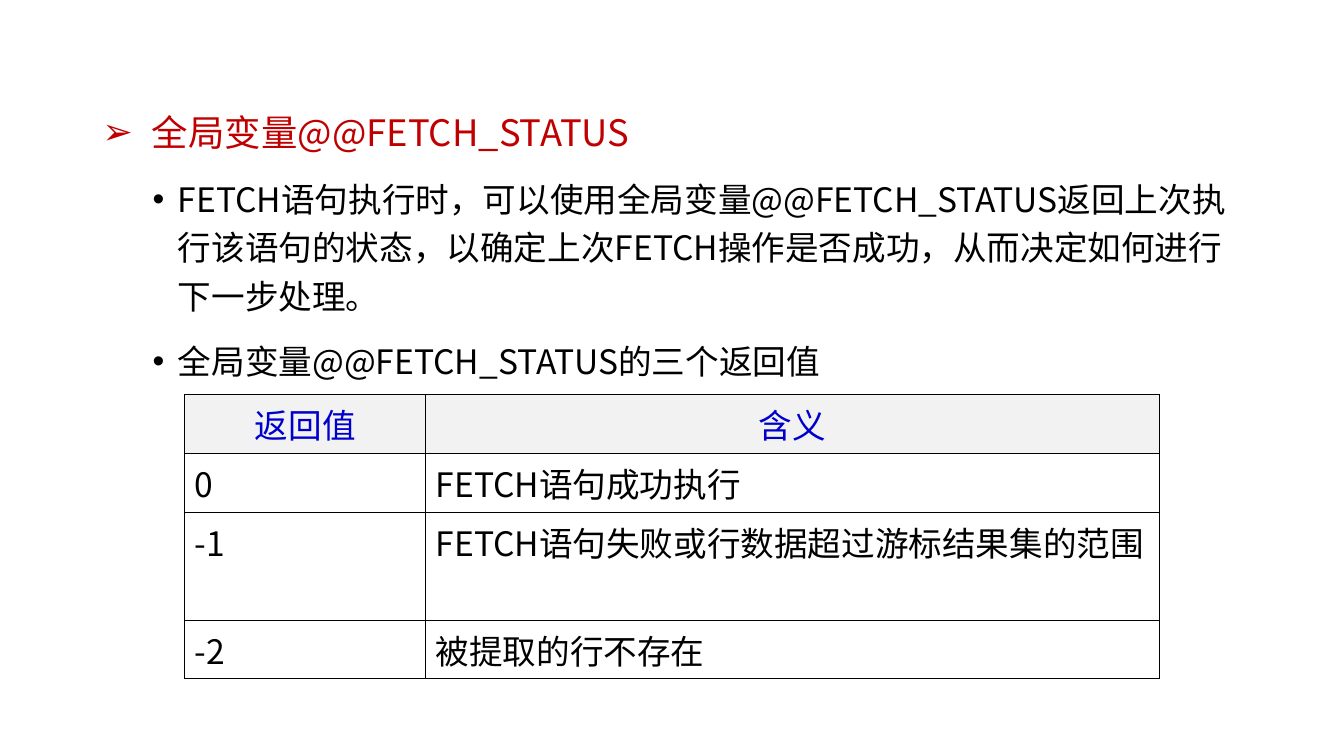
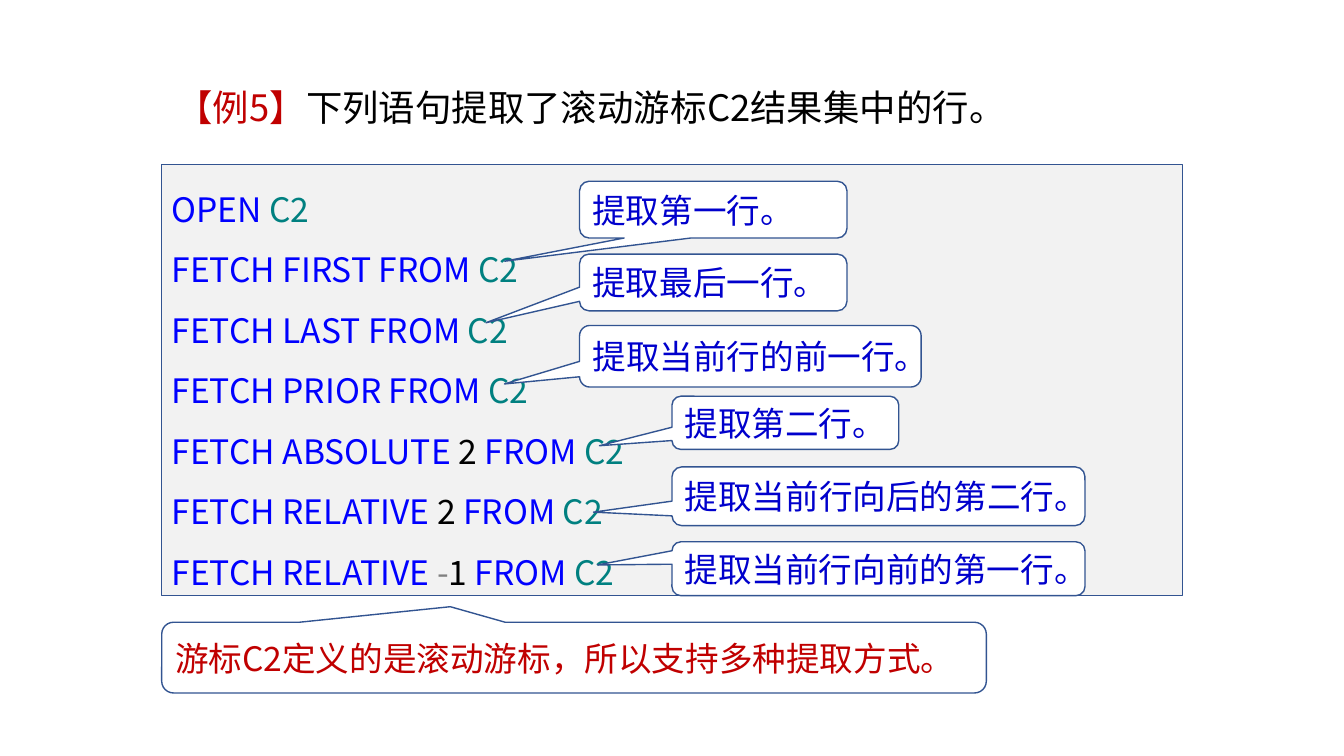
from dataclasses import dataclass

from lxml import etree
from pptx import Presentation
from pptx.dml.color import RGBColor
from pptx.enum.shapes import MSO_SHAPE
from pptx.enum.text import MSO_ANCHOR, PP_ALIGN
from pptx.oxml.ns import qn
from pptx.util import Pt

RECTANGLE = MSO_SHAPE.RECTANGLE
CALLOUT = MSO_SHAPE.ROUNDED_RECTANGULAR_CALLOUT
LEFT, CENTER = PP_ALIGN.LEFT, PP_ALIGN.CENTER
TOP, MIDDLE = MSO_ANCHOR.TOP, MSO_ANCHOR.MIDDLE

# Shared style
FONT, BULLET_FONT = "Noto Sans CJK SC", "Arial"
BODY_SIZE, TITLE_SIZE = 24, 26
BLACK, WHITE, RED, GREY = "000000", "FFFFFF", "C00000", "808080"
NOTE_BLUE, KEYWORD_BLUE, TEAL = "0000CC", "0000FF", "008080"
PANEL_FILL, OUTLINE = "F2F2F2", "325491"


@dataclass(frozen=True)
class Span:
    text: str
    color: str


@dataclass(frozen=True)
class Line:
    spans: tuple[Span, ...]
    size: float = BODY_SIZE
    align: PP_ALIGN = LEFT
    spacing: float | None = None
    before: float = 0
    margin: float = 0
    indent: float = 0
    bullet: str = ""


@dataclass(frozen=True)
class Area:
    left: float
    top: float
    width: float
    height: float

    def lengths(self) -> tuple:
        return Pt(self.left), Pt(self.top), Pt(self.width), Pt(self.height)


@dataclass(frozen=True)
class Note:
    text: str
    area: Area
    tip_x: float
    tip_y: float
    color: str = NOTE_BLUE


def rgb(color: str) -> RGBColor:
    return RGBColor.from_string(color)


def plain(text: str, color: str, **style) -> Line:
    return Line((Span(text, color),), **style)


def write_paragraph(para, line: Line) -> None:
    para.alignment = line.align
    if line.spacing:
        para.line_spacing = line.spacing
    para.space_before = Pt(line.before)
    font = para.font
    font.size, font.name, font.bold = Pt(line.size), FONT, False
    one_color = len({span.color for span in line.spans}) == 1
    if one_color:
        font.color.rgb = rgb(line.spans[0].color)

    # East Asian font, language, indents and bullet
    properties = para._p.get_or_add_pPr()
    defaults = properties.find(qn("a:defRPr"))
    defaults.set("lang", "zh-CN")
    etree.SubElement(defaults, qn("a:ea")).set("typeface", FONT)
    properties.set("marL", str(Pt(line.margin)))
    properties.set("indent", str(Pt(line.indent)))
    if line.bullet:
        for tag, key, value in (("a:buFont", "typeface", BULLET_FONT),
                                ("a:buChar", "char", line.bullet)):
            mark = etree.Element(qn(tag))
            mark.set(key, value)
            defaults.addprevious(mark)

    for span in line.spans:
        run = para.add_run()
        run.text = span.text
        if not one_color:
            run.font.color.rgb = rgb(span.color)


def write_lines(frame, lines: list[Line], anchor: MSO_ANCHOR) -> None:
    frame.word_wrap = True
    frame.vertical_anchor = anchor
    for index, line in enumerate(lines):
        para = frame.add_paragraph() if index else frame.paragraphs[0]
        write_paragraph(para, line)


def add_text(page, area: Area, lines: list[Line]) -> None:
    box = page.shapes.add_textbox(*area.lengths())
    write_lines(box.text_frame, lines, TOP)


def add_panel(page, kind: MSO_SHAPE, area: Area, fill: str, lines: list[Line]):
    panel = page.shapes.add_shape(kind, *area.lengths())
    panel.shadow.inherit = False
    panel.fill.solid()
    panel.fill.fore_color.rgb = rgb(fill)
    panel.line.color.rgb = rgb(OUTLINE)
    panel.line.width = Pt(1)
    write_lines(panel.text_frame, lines, MIDDLE)
    return panel


def add_note(page, note: Note) -> None:
    callout = add_panel(page, CALLOUT, note.area, WHITE, [plain(note.text, note.color)])
    for index, value in enumerate((note.tip_x, note.tip_y, 0.167)):
        callout.adjustments[index] = value


def add_borders(cell) -> None:
    properties = cell._tc.get_or_add_tcPr()
    for index, side in enumerate(("a:lnL", "a:lnR", "a:lnT", "a:lnB")):
        border = etree.Element(qn(side))
        border.set("w", str(Pt(1)))
        fill = etree.SubElement(border, qn("a:solidFill"))
        etree.SubElement(fill, qn("a:srgbClr")).set("val", BLACK)
        properties.insert(index, border)


def add_grid(page, left: float, top: float, widths: list[float], heights: list[float],
             rows: list[tuple[str, ...]]) -> None:
    area = Area(left, top, sum(widths), sum(heights))
    table = page.shapes.add_table(len(rows), len(widths), *area.lengths()).table
    table.first_row = table.horz_banding = False
    for column, width in zip(table.columns, widths):
        column.width = Pt(width)
    for row, height in zip(table.rows, heights):
        row.height = Pt(height)
    for row_index, texts in enumerate(rows):
        header = row_index == 0
        for column_index, text in enumerate(texts):
            cell = table.cell(row_index, column_index)
            cell.fill.solid()
            cell.fill.fore_color.rgb = rgb(PANEL_FILL if header else WHITE)
            add_borders(cell)
            line = plain(text, NOTE_BLUE if header else BLACK, align=CENTER if header else LEFT)
            write_paragraph(cell.text_frame.paragraphs[0], line)


def fetch(direction: str, count: str = "", sign: str = "") -> Line:
    spans = [Span(f"FETCH {direction} ", KEYWORD_BLUE)]
    if sign:
        spans.append(Span(sign, GREY))
    if count:
        spans.append(Span(f"{count} ", BLACK))
    spans += [Span("FROM ", KEYWORD_BLUE), Span("C2", TEAL)]
    return Line(tuple(spans), spacing=1.5)


def build_status_page(page) -> None:
    # Explanation
    point = {"spacing": 1.2, "before": 12, "margin": 54, "indent": -18, "bullet": "•"}
    add_text(page, Area(66, 69, 828, 357), [
        plain("全局变量@@FETCH_STATUS", RED, size=TITLE_SIZE, spacing=1.2, before=12,
              margin=35.5, indent=-35.5, bullet="➢"),
        plain("FETCH语句执行时，可以使用全局变量@@FETCH_STATUS返回上次执行该语句的状态，"
              "以确定上次FETCH操作是否成功，从而决定如何进行下一步处理。", BLACK, **point),
        plain("全局变量@@FETCH_STATUS的三个返回值", BLACK, **point),
    ])
    # Return values, with room for two lines in the third row
    single, double = 42, 77
    add_grid(page, 132, 282, [172, 524], [single, single, double, single], [
        ("返回值", "含义"),
        ("0", "FETCH语句成功执行"),
        ("-1", "FETCH语句失败或行数据超过游标结果集的范围"),
        ("-2", "被提取的行不存在"),
    ])


def build_example_page(page) -> None:
    # Heading
    heading = (Span("【例5】", RED), Span("下列语句提取了滚动游标C2结果集中的行。", BLACK))
    add_text(page, Area(83, 60.5, 828, 76),
             [Line(heading, size=TITLE_SIZE, spacing=0.9, before=12, margin=36)])
    # Code
    edge, near, far = 115.5, 414, 480
    opening = Line((Span("OPEN ", KEYWORD_BLUE), Span("C2", TEAL)), spacing=1.5)
    add_panel(page, RECTANGLE, Area(edge, 117.5, 729, 308), PANEL_FILL, [
        opening, fetch("FIRST"), fetch("LAST"), fetch("PRIOR"),
        fetch("ABSOLUTE", "2"), fetch("RELATIVE", "2"), fetch("RELATIVE", "1", "-"),
    ])
    # Callouts
    for note in (
        Note("提取最后一行。", Area(near, 181.5, 191, 40.5), -0.85, 0.71),
        Note("提取当前行的前一行。", Area(near, 232.5, 244, 44), -0.72, 0.45),
        Note("提取第二行。", Area(far, 283, 162, 38), -0.82, 0.43),
        Note("提取当前行向后的第二行。", Area(far, 333.5, 295, 42), -0.69, 0.27),
        Note("提取当前行向前的第一行。", Area(far, 387, 295, 38.5), -0.68, -0.07),
        Note("游标C2定义的是滚动游标，所以支持多种提取方式。",
             Area(edge, 444.5, 589, 50.5), -0.15, -0.72, RED),
        Note("提取第一行。", Area(near, 129.5, 191, 40.5), -0.78, 0.91),
    ):
        add_note(page, note)


def main() -> None:
    deck = Presentation()
    deck.slide_width, deck.slide_height = Pt(960), Pt(540)
    blank = deck.slide_layouts[6]
    for build in (build_status_page, build_example_page):
        build(deck.slides.add_slide(blank))
    deck.save("out.pptx")


if __name__ == "__main__":
    main()
